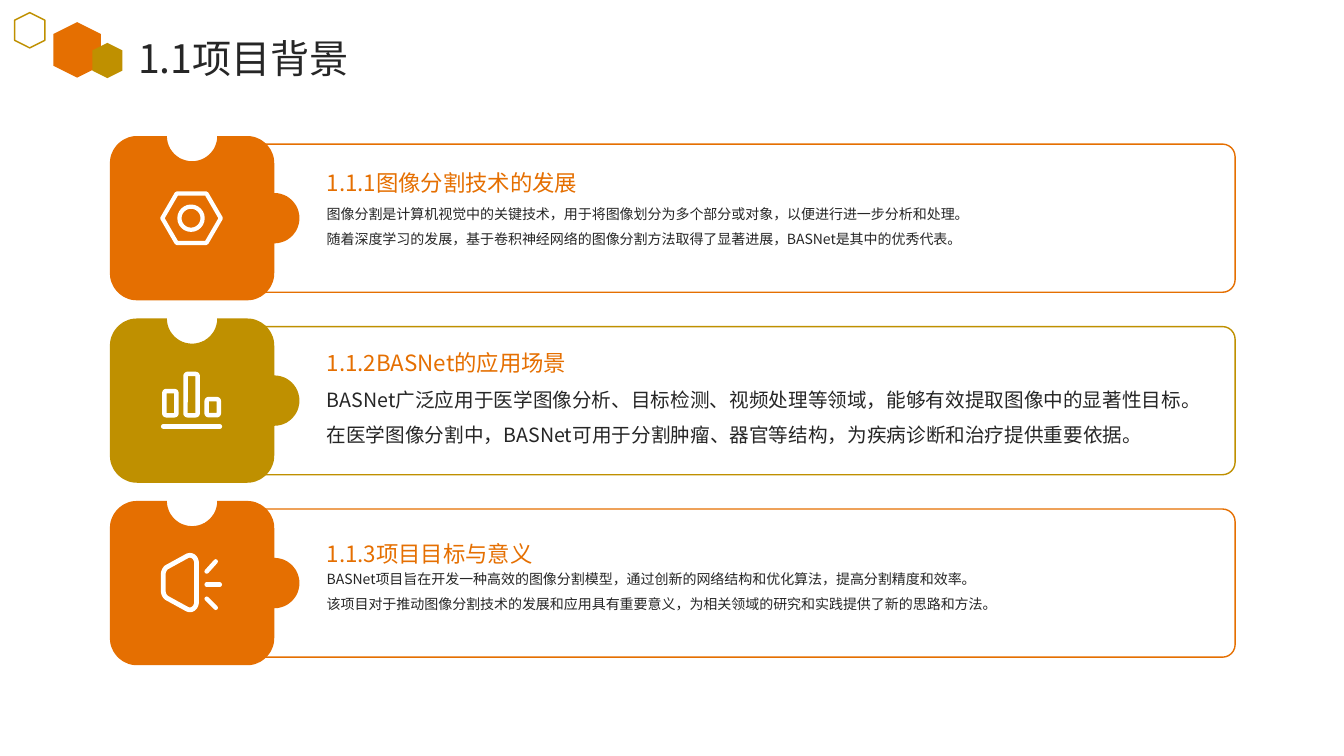
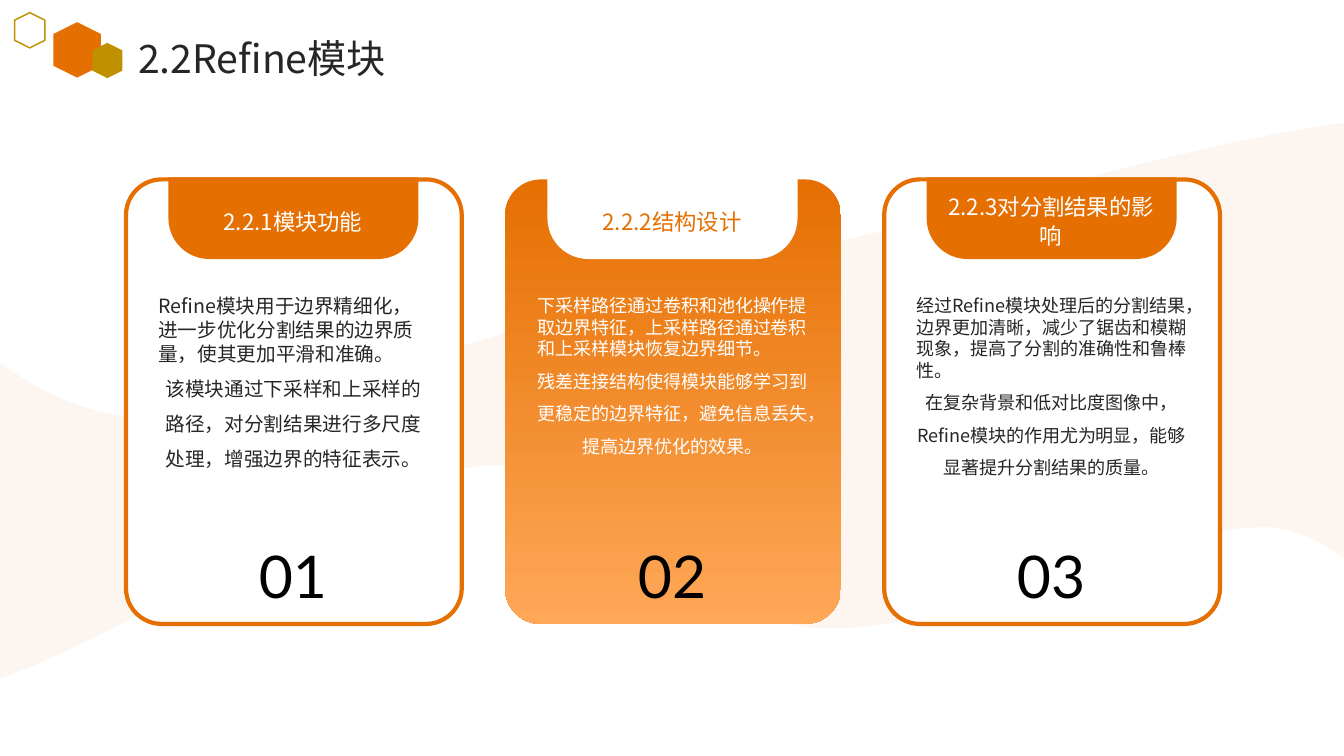
import math

from pptx import Presentation
from pptx.dml.color import RGBColor
from pptx.enum import shapes, text
from pptx.oxml.ns import qn
from pptx.util import Inches, Pt
from lxml import etree

ORANGE, GOLD, LIGHT = "E56F01", "BF9000", "FEA858"
WHITE, INK, BLACK = "FFFFFF", "262626", "000000"
CJK, LATIN = "Noto Sans CJK SC", "Lato"
KIND, ALIGN, ANCHOR = shapes.MSO_SHAPE, text.PP_ALIGN, text.MSO_ANCHOR

ROW_TOP, ROW_PITCH = 1.35, 1.81
CARD_LEFT, CARD_PITCH = 1.25, 3.76

# Colour, heading, heading top, body size, body paragraphs
ROWS = [
    (ORANGE, "1.1.1图像分割技术的发展", 1.54, 10, [
        "图像分割是计算机视觉中的关键技术，用于将图像划分为多个部分或对象，以便进行进一步分析和处理。",
        "随着深度学习的发展，基于卷积神经网络的图像分割方法取得了显著进展，BASNet是其中的优秀代表。"]),
    (GOLD, "1.1.2BASNet的应用场景", 3.33, 14, [
        "BASNet广泛应用于医学图像分析、目标检测、视频处理等领域，能够有效提取图像中的显著性目标。",
        "在医学图像分割中，BASNet可用于分割肿瘤、器官等结构，为疾病诊断和治疗提供重要依据。"]),
    (ORANGE, "1.1.3项目目标与意义", 5.23, 10, [
        "BASNet项目旨在开发一种高效的图像分割模型，通过创新的网络结构和优化算法，提高分割精度和效率。",
        "该项目对于推动图像分割技术的发展和应用具有重要意义，为相关领域的研究和实践提供了新的思路和方法。"]),
]

# Heading, body size, body paragraphs, highlighted
CARDS = [
    ("2.2.1模块功能", 14, [
        "Refine模块用于边界精细化，进一步优化分割结果的边界质量，使其更加平滑和准确。",
        "该模块通过下采样和上采样的路径，对分割结果进行多尺度处理，增强边界的特征表示。"], False),
    ("2.2.2结构设计", 12.9, [
        "下采样路径通过卷积和池化操作提取边界特征，上采样路径通过卷积和上采样模块恢复边界细节。",
        "残差连接结构使得模块能够学习到更稳定的边界特征，避免信息丢失，提高边界优化的效果。"], True),
    ("2.2.3对分割结果的影响", 12.9, [
        "经过Refine模块处理后的分割结果，边界更加清晰，减少了锯齿和模糊现象，提高了分割的准确性和鲁棒性。",
        "在复杂背景和低对比度图像中，Refine模块的作用尤为明显，能够显著提升分割结果的质量。"], False),
]

# Outlines: a pair is a straight step, six numbers are a curve
WAVE = [
    (13.33, 1.22), (13.33, 5.54), (13.26, 5.49), (13.04, 5.34, 12.8, 5.23, 12.52, 5.23),
    (11.42, 5.22, 9.38, 6.33, 8.09, 6.23), (6.8, 6.13, 6.27, 4.52, 4.78, 4.62),
    (3.62, 4.7, 1.47, 6.19, 0.09, 6.7), (0, 6.73), (0, 3.6), (0.04, 3.63),
    (0.46, 3.92, 0.96, 4.16, 1.54, 4.14), (3.09, 4.09, 5.66, 2.96, 7.89, 2.49),
    (9.43, 2.17, 11.65, 1.45, 13.25, 1.23),
]
HORN = [
    (1.62, 5.7), (1.62, 5.67, 1.63, 5.65, 1.65, 5.63), (1.85, 5.52),
    (1.9, 5.49, 1.95, 5.53, 1.95, 5.59), (1.95, 5.97),
    (1.95, 6.03, 1.9, 6.07, 1.85, 6.04), (1.65, 5.93),
    (1.63, 5.91, 1.62, 5.89, 1.62, 5.86),
]


def rgb(value):
    return RGBColor.from_string(value)


# Shapes and lines
def paint(sp, fill=None, line=None, width=1):
    sp.shadow.inherit = False
    if fill:
        sp.fill.solid()
        sp.fill.fore_color.rgb = rgb(fill)
    else:
        sp.fill.background()
    if line:
        sp.line.color.rgb = rgb(line)
        sp.line.width = Pt(width)
    else:
        sp.line.fill.background()
    return sp


def add_shape(s, kind, box, adj=(), **look):
    sp = s.shapes.add_shape(kind, *map(Inches, box))
    for i, value in enumerate(adj):
        sp.adjustments[i] = value
    return paint(sp, **look)


def add_outline(s, points, **look):
    mils = [(x * 1000, y * 1000) for x, y in points]
    builder = s.shapes.build_freeform(*mils[0], scale=914.4)
    builder.add_line_segments(mils[1:], close=True)
    return paint(builder.convert_to_shape(), **look)


def add_stroke(s, x1, y1, x2, y2, color, width):
    line = s.shapes.add_connector(shapes.MSO_CONNECTOR.STRAIGHT, *map(Inches, (x1, y1, x2, y2)))
    line.line.color.rgb = rgb(color)
    line.line.width = Pt(width)
    line.line._get_or_add_ln().set("cap", "rnd")
    etree.SubElement(line._element.spPr, qn("a:effectLst"))


def trace(steps, count=16):
    points = [steps[0]]
    for step in steps[1:]:
        if len(step) == 2:
            points.append(step)
            continue
        x0, y0 = points[-1]
        x1, y1, x2, y2, x3, y3 = step
        for i in range(1, count + 1):
            t = i / count
            a, b, c, d = (1 - t) ** 3, 3 * t * (1 - t) ** 2, 3 * t * t * (1 - t), t ** 3
            points.append((a * x0 + b * x1 + c * x2 + d * x3,
                           a * y0 + b * y1 + c * y2 + d * y3))
    return points


def arc(cx, cy, radius, start, end, count=24):
    angles = [math.radians(start + (end - start) * i / count) for i in range(count + 1)]
    return [(cx + radius * math.cos(a), cy + radius * math.sin(a)) for a in angles]


# Text
def write(tf, paragraphs, size, color, font=CJK, spacing=(1.1,), aligns=(ALIGN.LEFT,),
          anchor=ANCHOR.TOP, margins=(0, 0)):
    tf.word_wrap = True
    tf.auto_size = text.MSO_AUTO_SIZE.NONE
    tf.vertical_anchor = anchor
    tf.margin_left = tf.margin_right = Inches(margins[0])
    tf.margin_top = tf.margin_bottom = Inches(margins[1])
    for i, content in enumerate(paragraphs):
        p = tf.paragraphs[0] if i == 0 else tf.add_paragraph()
        p.line_spacing = spacing[i]
        p.alignment = aligns[i]
        r = p.add_run()
        r.text = content
        for name, value in {"size": Pt(size), "name": font, "bold": False}.items():
            setattr(r.font, name, value)
        r.font.color.rgb = rgb(color)
        etree.SubElement(r._r.get_or_add_rPr(), qn("a:ea"), typeface=font)


def add_text(s, box, paragraphs, size, color, **style):
    sp = s.shapes.add_textbox(*map(Inches, box))
    write(sp.text_frame, paragraphs, size, color, **style)


def add_body(s, box, paragraphs, size, color, last_align):
    add_text(s, box, paragraphs, size, color, spacing=(1.0, 1.5),
             aligns=(ALIGN.LEFT, last_align))


# Shared title and hexagons
def add_titled_slide(prs, title):
    s = prs.slides.add_slide(prs.slide_layouts[5])
    sp = s.shapes.title
    box = map(Inches, (1.29, 0.25, 11.07, 0.55))
    for name, value in zip(("left", "top", "width", "height"), box):
        setattr(sp, name, value)
    write(sp.text_frame, [title], 28, INK, margins=(0.08, 0.04))
    for box, look in [((0.49, 0.26, 0.55, 0.47), {"fill": ORANGE}),
                      ((0.12, 0.15, 0.35, 0.3), {"line": GOLD}),
                      ((0.89, 0.45, 0.35, 0.3), {"fill": GOLD})]:
        add_shape(s, KIND.HEXAGON, box, **look).rotation = 90
    return s


# Background slide: puzzle rows
def add_puzzle(s, left, top, color, side=1.63, corner=0.27, knob=0.25):
    right, bottom, half = left + side, top + side, side / 2
    points = (arc(left + half, top, knob, 180, 0)
              + arc(right - corner, top + corner, corner, -90, 0)
              + arc(right, top + half, knob, -90, 90)
              + arc(right - corner, bottom - corner, corner, 0, 90)
              + arc(left + corner, bottom - corner, corner, 90, 180)
              + arc(left + corner, top + corner, corner, 180, 270))
    add_outline(s, points, fill=color)


def add_nut_icon(s):
    add_shape(s, KIND.HEXAGON, (1.61, 1.92, 0.58, 0.49), (0.29,), line=WHITE, width=3)
    add_shape(s, KIND.OVAL, (1.78, 2.05, 0.23, 0.23), line=WHITE, width=3)


def add_chart_icon(s):
    for i, (top, height) in enumerate([(3.88, 0.24), (3.71, 0.41), (3.96, 0.16)]):
        add_shape(s, KIND.ROUNDED_RECTANGLE, (1.63 + 0.21 * i, top, 0.12, height), (0.16,),
                  line=WHITE, width=3.2)
    add_stroke(s, 1.62, 4.23, 2.18, 4.23, WHITE, 3.4)


def add_horn_icon(s):
    add_outline(s, trace(HORN), line=WHITE, width=3.4)
    for ray in [(2.05, 5.67, 2.14, 5.57), (2.05, 5.8, 2.18, 5.8), (2.05, 5.94, 2.14, 6.03)]:
        add_stroke(s, *ray, WHITE, 3.2)


def build_background(prs):
    s = add_titled_slide(prs, "1.1项目背景")
    icons = (add_nut_icon, add_chart_icon, add_horn_icon)
    for i, (color, heading, heading_top, size, body) in enumerate(ROWS):
        top = ROW_TOP + ROW_PITCH * i
        add_shape(s, KIND.ROUNDED_RECTANGLE, (2.46, top + 0.08, 9.79, 1.47), (0.085,),
                  fill=WHITE, line=color)
        add_puzzle(s, 1.09, top, color)
        icons[i](s)
        add_text(s, (3.24, heading_top, 8.73, 0.42), [heading], 16, ORANGE, spacing=(1.5,))
        add_body(s, (3.24, top + 0.69, 8.73, 0.73), body, size, INK, ALIGN.LEFT)


# Module slide: numbered cards
def add_wave(s):
    sp = add_outline(s, trace(WAVE), fill=ORANGE)
    color = sp._element.spPr.find(qn("a:solidFill"))[0]
    etree.SubElement(color, qn("a:alpha"), val="6000")


def add_card(s, left, number, heading, size, body, highlighted):
    line = None if highlighted else ORANGE
    card = add_shape(s, KIND.ROUNDED_RECTANGLE, (left, 1.78, 3.33, 4.41), (0.106,),
                     fill=WHITE, line=line, width=3)
    if highlighted:
        card.fill.gradient()
        card.fill.gradient_angle = 270
        for stop, color in zip(card.fill.gradient_stops, (ORANGE, LIGHT)):
            stop.color.rgb = rgb(color)
    tab_color, heading_color = (WHITE, ORANGE) if highlighted else (ORANGE, WHITE)
    add_shape(s, KIND.ROUND_2_SAME_RECTANGLE, (left + 0.42, 1.76, 2.48, 0.81), (0, 0.5),
              fill=tab_color)
    centred = {"aligns": (ALIGN.CENTER,), "anchor": ANCHOR.MIDDLE}
    add_text(s, (left + 0.56, 1.82, 2.19, 0.72), [heading], 16, heading_color, **centred)
    add_body(s, (left + 0.32, 2.92, 2.68, 2.15), body, size,
             WHITE if highlighted else INK, ALIGN.CENTER)
    add_text(s, (left + 0.56, 5.31, 2.19, 0.72), [f"{number:02d}"], 42, BLACK,
             font=LATIN, **centred)


def build_module(prs):
    s = add_titled_slide(prs, "2.2Refine模块")
    add_wave(s)
    for i, card in enumerate(CARDS):
        add_card(s, CARD_LEFT + CARD_PITCH * i, i + 1, *card)


def main():
    prs = Presentation()
    prs.slide_width, prs.slide_height = Inches(13.33), Inches(7.5)
    fill = prs.slide_master.background.fill
    fill.solid()
    fill.fore_color.rgb = rgb(WHITE)
    build_background(prs)
    build_module(prs)
    prs.save("out.pptx")


if __name__ == "__main__":
    main()
